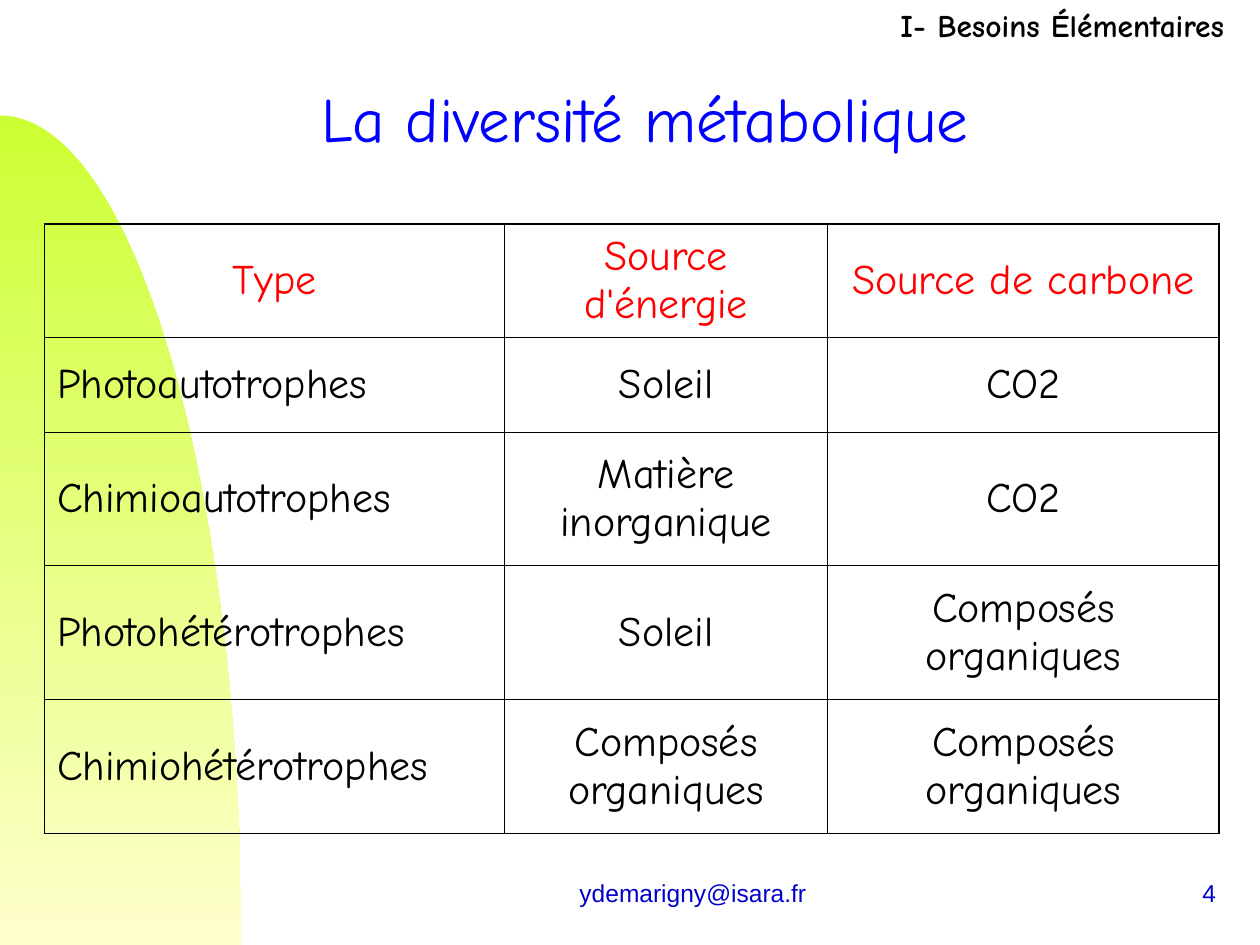
from math import cos, pi, sin

from lxml.etree import SubElement
from pptx import Presentation
from pptx.dml.color import RGBColor
from pptx.enum.text import MSO_ANCHOR as Anchor, MSO_AUTO_SIZE as Auto, PP_ALIGN as Align
from pptx.oxml import parse_xml
from pptx.oxml.ns import nsdecls, qn
from pptx.util import Pt

HAND = "Comic Neue"
BLACK, INK, RED, BLUE, NAVY = "000000", "010000", "FF0000", "0000FF", "0000CC"
THICK, THIN = 1.08, 0.45
COLS = [262.8, 184.8, 223.6]
ROWS = [64.8, 54, 76.5, 76.5, 76.5]
DATA = [
    ["Type", "Source d'énergie", "Source de carbone"],
    ["Photoautotrophes", "Soleil", "CO2"],
    ["Chimioautotrophes", "Matière inorganique", "CO2"],
    ["Photohétérotrophes", "Soleil", "Composés organiques"],
    ["Chimiohétérotrophes", "Composés organiques", "Composés organiques"],
]


def color(code):
    return RGBColor.from_string(code)


def style(para, size, code, align=Align.LEFT, face=HAND, bold=False):
    para.alignment = align
    font = para.font
    font.name, font.size, font.bold = face, Pt(size), bold
    font.color.rgb = color(code)


def add_curve(slide, x, y, w, h, steps=60):
    """Quarter ellipse centred on the lower left corner of its box."""
    turns = [pi / 2 * i / steps for i in range(steps + 1)]
    points = [(Pt(x + w * sin(t)), Pt(y + h - h * cos(t))) for t in turns]
    form = slide.shapes.build_freeform(Pt(x), Pt(y + h))
    form.add_line_segments(points, close=True)
    shape = form.convert_to_shape()
    shape.shadow.inherit = False
    shape.line.fill.background()
    shape.fill.gradient()
    shape.fill.gradient_angle = 270
    for stop, (code, place) in zip(shape.fill.gradient_stops,
                                   [("CCFF33", 0), ("FFFFCC", 1)]):
        stop.color.rgb, stop.position = color(code), place


def add_title(slide, x, y, w, h, text):
    title = slide.shapes.title
    title.left, title.top, title.width, title.height = map(Pt, (x, y, w, h))
    frame = title.text_frame
    frame.text = text
    frame.auto_size = Auto.NONE
    frame.vertical_anchor = Anchor.MIDDLE
    para = frame.paragraphs[0]
    para.line_spacing = 0.7
    style(para, 36, BLUE, Align.CENTER)


def add_label(slide, x, y, w, h, text, anchor=Anchor.MIDDLE, **look):
    frame = slide.shapes.add_textbox(*map(Pt, (x, y, w, h))).text_frame
    frame.word_wrap = False
    frame.vertical_anchor = anchor
    frame.text = text
    style(frame.paragraphs[0], **look)


def set_edges(cell, widths):
    """Draw the left, right, top and bottom borders, in that order."""
    props = cell._tc.get_or_add_tcPr()
    for i, (side, width) in enumerate(zip("LRTB", widths)):
        line = parse_xml(f'<a:ln{side} {nsdecls("a")} w="{Pt(width)}"/>')
        fill = SubElement(line, qn("a:solidFill"))
        SubElement(fill, qn("a:srgbClr"), val=BLACK)
        props.insert(i, line)


def add_grid(slide, x, y):
    rows, cols = len(ROWS), len(COLS)
    box = map(Pt, (x, y, sum(COLS), sum(ROWS)))
    table = slide.shapes.add_table(rows, cols, *box).table
    table.first_row = table.horz_banding = False
    for col, width in zip(table.columns, COLS):
        col.width = Pt(width)
    for row, height in zip(table.rows, ROWS):
        row.height = Pt(height)
    for r, texts in enumerate(DATA):
        for c, text in enumerate(texts):
            cell = table.cell(r, c)
            cell.text = text
            cell.vertical_anchor = Anchor.MIDDLE
            cell.fill.background()
            outer = (c == 0, c == cols - 1, r == 0, r == rows - 1)
            set_edges(cell, [THICK if edge else THIN for edge in outer])
            style(cell.text_frame.paragraphs[0], 24, INK if r else RED,
                  Align.LEFT if r and c == 0 else Align.CENTER)


def add_footer(slide, y, h):
    look = dict(size=14, code=NAVY, face="Arial")
    add_label(slide, 282, y, 228, h, "ydemarigny@isara.fr", align=Align.CENTER, **look)
    add_label(slide, 552, y, 150, h, "4", align=Align.RIGHT, **look)


def main():
    deck = Presentation()
    deck.slide_width, deck.slide_height = Pt(720), Pt(540)
    slide = deck.slides.add_slide(deck.slide_layouts[5])
    add_curve(slide, 0, 66, 138, 474)
    add_footer(slide, 492, 36)
    add_title(slide, 52.5, 45, 632, 55, "La diversité métabolique")
    add_grid(slide, 25.4, 128)
    add_label(slide, 507.5, 0, 200, 29, "I- Besoins Élémentaires",
              anchor=Anchor.TOP, size=18, code=INK, bold=True)
    deck.save("out.pptx")


if __name__ == "__main__":
    main()
